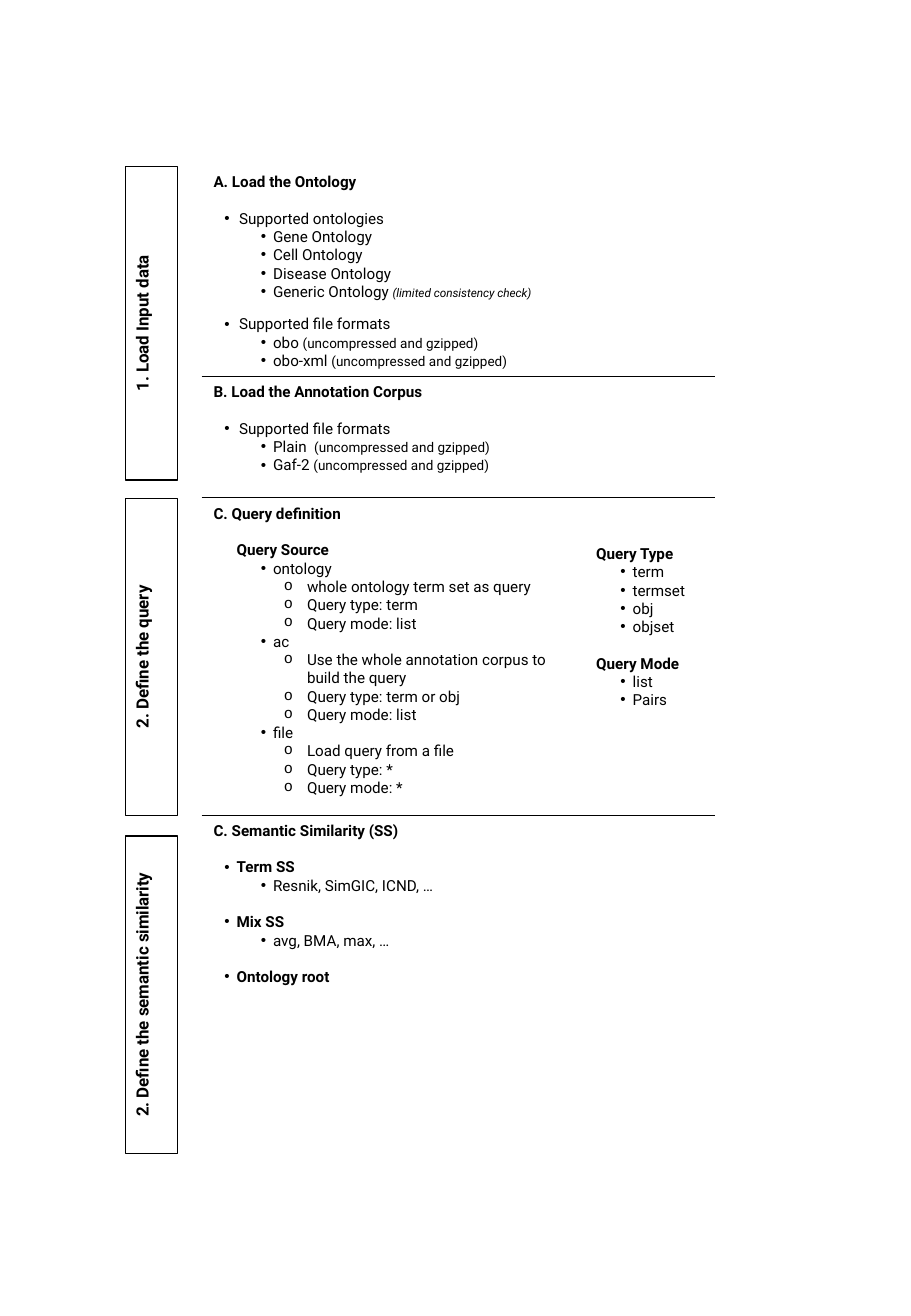
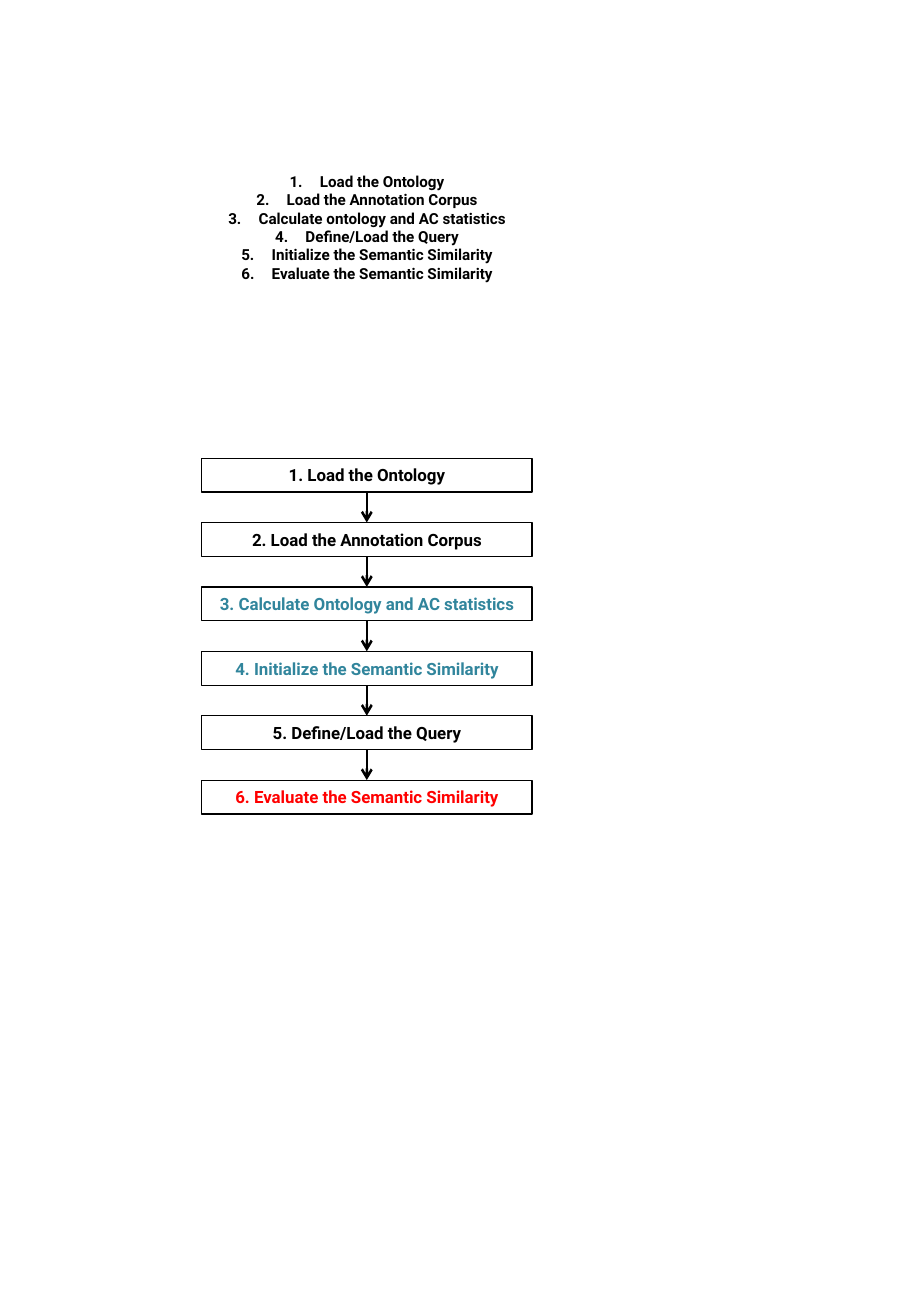
from lxml.etree import SubElement
from pptx import Presentation
from pptx.dml.color import RGBColor
from pptx.enum.shapes import MSO_CONNECTOR, MSO_SHAPE
from pptx.enum.text import MSO_ANCHOR, PP_ALIGN
from pptx.oxml.ns import qn
from pptx.util import Inches, Pt

FONT = "Roboto"
BLACK, TEAL, RED = "000000", "31859C", "FF0000"
LEFT, RULE_END = 1.66, 5.89
FLOW_WIDTH = 2.72
GAP = 10.8  # one line of 9 pt text

# style: (level, left margin, indent, bullet, bold)
STYLES = {
    "heading": (0, 0, 0, None, True),
    "subheading": (0, 0.19, 0, None, True),
    "topic": (0, 0.21, -0.12, "•", False),
    "strong topic": (0, 0.19, -0.1, "•", True),
    "item": (1, 0.49, -0.1, "•", False),
    "detail": (2, 0.77, -0.19, "o", False),
    "step": (0, 0.25, -0.25, "1.", True),
}
BULLET_FONTS = {"•": "Arial", "o": "Courier New"}


def add_box(slide, text, left, top, width, height, color=BLACK):
    """Add an outlined box with one bold centred line."""
    box = slide.shapes.add_shape(MSO_SHAPE.RECTANGLE, Inches(left), Inches(top),
                                 Inches(width), Inches(height))
    box.shadow.inherit = False
    box.fill.background()
    box.line.color.rgb = RGBColor.from_string(BLACK)
    box.line.width = Pt(0.75)
    frame = box.text_frame
    frame.margin_left = frame.margin_right = Inches(0.04)
    frame.text = text
    frame.paragraphs[0].alignment = PP_ALIGN.CENTER
    font = frame.paragraphs[0].runs[0].font
    font.name, font.size, font.bold = FONT, Pt(10), True
    font.color.rgb = RGBColor.from_string(color)
    return box


def add_line(slide, start, end, width):
    line = slide.shapes.add_connector(MSO_CONNECTOR.STRAIGHT, *map(Inches, start + end))
    line.line.color.rgb = RGBColor.from_string(BLACK)
    line.line.width = Pt(width)
    SubElement(line._element.spPr, qn("a:effectLst"))
    return line


prs = Presentation()
prs.slide_width, prs.slide_height = Inches(7.5), Inches(10.83)
outline, workflow = [prs.slides.add_slide(prs.slide_layouts[6]) for _ in range(2)]

PACKED = "(uncompressed and gzipped)"

# paragraph: (style, text, space before, small note, note size)
ontology = [
    ("heading", "A. Load the Ontology"),
    ("topic", "Supported ontologies", GAP),
    ("item", "Gene Ontology"),
    ("item", "Cell Ontology"),
    ("item", "Disease Ontology"),
    ("item", "Generic Ontology ", 0, "(limited consistency check)", 7),
    ("topic", "Supported file formats", 8.5),
    ("item", "obo ", 0, PACKED, 8),
    ("item", "obo-xml ", 0, PACKED, 8),
]
corpus = [
    ("heading", "B. Load the Annotation Corpus"),
    ("topic", "Supported file formats", GAP),
    ("item", "Plain  ", 0, PACKED, 8),
    ("item", "Gaf-2 ", 0, PACKED, 8),
]
query = [
    ("heading", "C. Query definition"),
    ("subheading", "Query Source", GAP),
    ("item", "ontology"),
    ("detail", "whole ontology term set as query"),
    ("detail", "Query type: term"),
    ("detail", "Query mode: list"),
    ("item", "ac"),
    ("detail", "Use the whole annotation corpus to build the query"),
    ("detail", "Query type: term or obj"),
    ("detail", "Query mode: list"),
    ("item", "file"),
    ("detail", "Load query from a file"),
    ("detail", "Query type: *"),
    ("detail", "Query mode: *"),
]
query_options = [
    ("subheading", "Query Type"),
    ("item", "term"),
    ("item", "termset"),
    ("item", "obj"),
    ("item", "objset"),
    ("subheading", "Query Mode", GAP),
    ("item", "list"),
    ("item", "Pairs"),
]
similarity = [
    ("heading", "C. Semantic Similarity (SS)"),
    ("strong topic", "Term SS", GAP),
    ("item", "Resnik, SimGIC, ICND, …"),
    ("strong topic", "Mix SS", GAP),
    ("item", "avg, BMA, max, …"),
    ("strong topic", "Ontology root", GAP),
]
steps = [("step", text) for text in (
    "Load the Ontology", "Load the Annotation Corpus",
    "Calculate ontology and AC statistics", "Define/Load the Query",
    "Initialize the Semantic Similarity", "Evaluate the Semantic Similarity")]

# Text blocks of both slides
for slide, left, top, width, height, block in (
        (outline, LEFT, 1.37, 2.96, 1.72, ontology),
        (outline, LEFT, 3.1, 2.96, 0.86, corpus),
        (outline, LEFT, 4.1, 2.96, 2.61, query),
        (outline, 4.62, 4.43, 1.4, 1.65, query_options),
        (outline, LEFT, 6.71, 2.96, 1.76, similarity),
        (workflow, LEFT, 1.37, FLOW_WIDTH, 1.09, steps)):
    frame = slide.shapes.add_textbox(Inches(left), Inches(top), Inches(width),
                                     Inches(height)).text_frame
    frame.word_wrap = True
    frame.text = "\n".join(entry[1] for entry in block)
    for paragraph, (style, text, *extras) in zip(frame.paragraphs, block):
        level, margin, indent, bullet, bold = STYLES[style]
        before, note, note_size = extras + [0, "", 9][len(extras):]
        paragraph.level = level
        paragraph.space_before = Pt(before)
        if note:
            paragraph.add_run().text = note
        for run, size in zip(paragraph.runs, (9, note_size)):
            run.font.name, run.font.size, run.font.bold = FONT, Pt(size), bold
            run.font.italic = size == 7
            run.font.color.rgb = RGBColor.from_string(BLACK)
        props = paragraph._p.get_or_add_pPr()
        props.set("marL", str(Inches(margin)))
        props.set("indent", str(Inches(indent)))
        if bullet in BULLET_FONTS:
            SubElement(props, qn("a:buFont"), typeface=BULLET_FONTS[bullet])
            SubElement(props, qn("a:buChar"), char=bullet)
        elif bullet:
            paragraph.alignment = PP_ALIGN.CENTER
            SubElement(props, qn("a:buFont"), typeface="+mj-lt")
            SubElement(props, qn("a:buAutoNum"), type="arabicPeriod")

# Slide 1: vertical phase labels and rules
PHASE_CENTER, PHASE_WIDTH = 1.25, 0.43
for text, top, length in (("1. Load Input data", 1.37, 2.58),
                          ("2. Define the query", 4.1, 2.61),
                          ("2. Define the semantic similarity", 6.88, 2.61)):
    phase = add_box(outline, text, PHASE_CENTER - length / 2,
                    top + (length - PHASE_WIDTH) / 2, length, PHASE_WIDTH)
    phase.rotation = 270
    phase.text_frame.vertical_anchor = MSO_ANCHOR.TOP

for y in (3.1, 4.09, 6.71):
    add_line(outline, (LEFT, y), (RULE_END, y), 0.5)

# Slide 2: flow chart
FLOW_TOP, FLOW_PITCH, FLOW_HEIGHT = 3.77, 0.53, 0.28
FLOW_CENTER = LEFT + FLOW_WIDTH / 2
flow = [
    ("1. Load the Ontology", BLACK),
    ("2. Load the Annotation Corpus", BLACK),
    ("3. Calculate Ontology and AC statistics", TEAL),
    ("4. Initialize the Semantic Similarity", TEAL),
    ("5. Define/Load the Query", BLACK),
    ("6. Evaluate the Semantic Similarity", RED),
]
previous = None
for i, (text, color) in enumerate(flow):
    top = FLOW_TOP + i * FLOW_PITCH
    stage = add_box(workflow, text, LEFT, top, FLOW_WIDTH, FLOW_HEIGHT, color)
    stage.text_frame.vertical_anchor = MSO_ANCHOR.MIDDLE
    if previous:
        arrow = add_line(workflow, (FLOW_CENTER, top - FLOW_PITCH + FLOW_HEIGHT),
                         (FLOW_CENTER, top), 1.5)
        arrow.begin_connect(previous, 2)
        arrow.end_connect(stage, 0)
        SubElement(arrow.line._get_or_add_ln(), qn("a:tailEnd"), type="arrow")
    previous = stage

prs.save("out.pptx")
